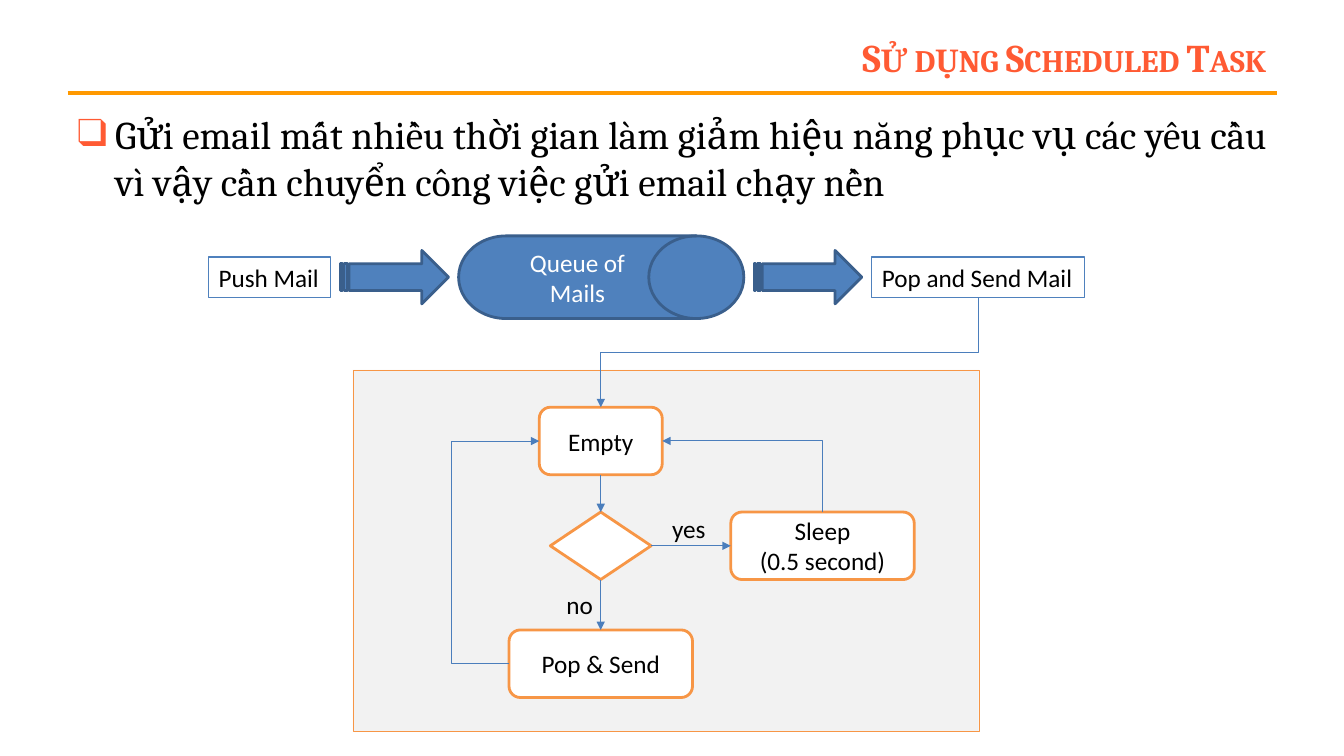
import pptx
import pptx.util
import pptx.dml.color
import pptx.enum.shapes
import pptx.enum.text
import pptx.oxml
import pptx.oxml.ns

Pt = pptx.util.Pt
SHAPE = pptx.enum.shapes.MSO_SHAPE
CONNECTOR = pptx.enum.shapes.MSO_CONNECTOR
ALIGN = pptx.enum.text.PP_ALIGN
ANCHOR = pptx.enum.text.MSO_ANCHOR
AUTO = pptx.enum.text.MSO_AUTO_SIZE

TITLE = "Sử dụng Scheduled Task"
BODY = ("Gửi email mất nhiều thời gian làm giảm hiệu năng phục vụ các yêu cầu "
        "vì vậy cần chuyển công việc gửi email chạy nền")
BLUE, DARK_BLUE, ORANGE, ACCENT = "4F81BD", "3A5F8C", "F79646", "FF5A33"

PIPELINE = [
    ("push", "Push Mail", 87.12, 28.8),
    ("arrow", "", 77.04, 38.16),
    ("queue", "Queue of\vMails", 203.76, 59.04),
    ("arrow", "", 77.04, 38.16),
    ("pop", "Pop and Send Mail", 151.92, 28.8),
]
PIPELINE_LEFT, PIPELINE_MIDDLE, PIPELINE_GAP = 149.04, 198, 7.2
PIPELINE_SHAPES = {"arrow": SHAPE.STRIPED_RIGHT_ARROW,
                   "queue": SHAPE.FLOWCHART_DIRECT_ACCESS_STORAGE}

LOOP_X, SLEEP_X = 429.12, 587.52
EMPTY_Y, CHECK_Y, SEND_Y = 315, 389.88, 474.12
STEP_HEIGHT = 48.24
STEPS = {
    "empty": (SHAPE.ROUNDED_RECTANGLE, "Empty", LOOP_X, EMPTY_Y, 87.84),
    "check": (SHAPE.FLOWCHART_DECISION, "", LOOP_X, CHECK_Y, 72),
    "send": (SHAPE.ROUNDED_RECTANGLE, "Pop & Send", LOOP_X, SEND_Y, 131.04),
    "sleep": (SHAPE.ROUNDED_RECTANGLE, "Sleep\n(0.5 second)", SLEEP_X, CHECK_Y, 131.04),
}
STRAIGHT = [("empty", 2, "check", 0), ("check", 3, "sleep", 1), ("check", 2, "send", 0)]
ELBOWS = [
    ("send", 1, "empty", 1, "bentConnector3", 180, "flipH", -191200),
    ("sleep", 0, "empty", 3, "bentConnector2", 270, "flipV", None),
    ("pop", 2, "empty", 0, "bentConnector3", 90, None, 50000),
]
ANSWERS = [("yes", 473.04, 362.88, 38.88), ("no", 397.44, 417.6, 33.84)]

deck = pptx.Presentation()
deck.slide_width, deck.slide_height = Pt(960), Pt(540)
slide = deck.slides.add_slide(deck.slide_layouts[6])


def color(value):
    return pptx.dml.color.RGBColor.from_string(value)


def write(shape, text, ink="000000", align=ALIGN.LEFT, **font):
    shape.text_frame.text = text
    for paragraph in shape.text_frame.paragraphs:
        paragraph.alignment = align
        style = {"name": "Calibri", "size": Pt(18), **font}
        for run in paragraph.runs:
            for key, value in style.items():
                setattr(run.font, key, value)
            run.font.color.rgb = color(ink)


def outline(shape, ink, width):
    shape.line.color.rgb = color(ink)
    shape.line.width = Pt(width)


def block(kind, box, fill, ink, width):
    shape = slide.shapes.add_shape(kind, *map(Pt, box))
    shape.shadow.inherit = False
    shape.fill.solid()
    shape.fill.fore_color.rgb = color(fill)
    outline(shape, ink, width)
    shape.text_frame.vertical_anchor = ANCHOR.MIDDLE
    return shape


def text_box(box, **frame):
    shape = slide.shapes.add_textbox(*map(Pt, box))
    for key, value in {"word_wrap": True, **frame}.items():
        setattr(shape.text_frame, key, value)
    return shape


def label(text, box):
    shape = text_box(box, word_wrap=False, auto_size=AUTO.SHAPE_TO_FIT_TEXT)
    write(shape, text)
    return shape


def connect(kind, start, end, ink, width, arrow=True):
    line = slide.shapes.add_connector(kind, *start, *end)
    outline(line, ink, width)
    properties = line._element.spPr
    pptx.oxml.ns.qn("a:ln")
    if arrow:
        tail = properties.find(pptx.oxml.ns.qn("a:ln")).makeelement(
            pptx.oxml.ns.qn("a:tailEnd"), {"type": "triangle"})
        properties.find(pptx.oxml.ns.qn("a:ln")).append(tail)
    properties.append(properties.makeelement(pptx.oxml.ns.qn("a:effectLst"), {}))
    return line


def site(shape, side):
    x = shape.left + (shape.width // 2, 0, shape.width // 2, shape.width)[side]
    y = shape.top + (0, shape.height // 2, shape.height, shape.height // 2)[side]
    return x, y


def elbow(start, end, preset, turn, flip, bend):
    line = connect(CONNECTOR.ELBOW, start, end, "4B7EBC", 0.75)
    width, height = abs(end[0] - start[0]), abs(end[1] - start[1])
    if turn in (90, 270):
        width, height = height, width
    line.left = (start[0] + end[0] - width) // 2
    line.top = (start[1] + end[1] - height) // 2
    line.width, line.height = width, height
    frame = line._element.spPr.find(pptx.oxml.ns.qn("a:xfrm"))
    for key in ("flipH", "flipV"):
        frame.attrib.pop(key, None)
    frame.set("rot", str(turn * 60000))
    if flip:
        frame.set(flip, "1")
    geometry = line._element.spPr.find(pptx.oxml.ns.qn("a:prstGeom"))
    geometry.set("prst", preset)
    if bend is not None:
        guides = geometry.find(pptx.oxml.ns.qn("a:avLst"))
        guides.append(guides.makeelement(
            pptx.oxml.ns.qn("a:gd"), {"name": "adj1", "fmla": f"val {bend}"}))


connect(CONNECTOR.STRAIGHT, (Pt(48.24), Pt(66.24)), (Pt(912.24), Pt(66.24)),
        "FF9900", 3, arrow=False)
block(SHAPE.RECTANGLE, (252, 264.24, 447.12, 257.76), "F2F2F2", ORANGE, 0.25)

title = text_box((175.68, 21.6, 735.84, 38.16), vertical_anchor=ANCHOR.MIDDLE)
write(title, TITLE, ACCENT, ALIGN.RIGHT, name="Cambria", size=Pt(28), bold=True)
title.text_frame.paragraphs[0].runs[0].font._element.set("cap", "small")

body = text_box((48.24, 74.88, 864, 87.84))
write(body, BODY, name="Cambria", size=Pt(28))
bullet = body.text_frame.paragraphs[0]._p.get_or_add_pPr()
bullet.set("marL", str(Pt(27)))
bullet.set("indent", str(-Pt(27)))
namespace = pptx.oxml.ns.nsdecls("a")
for element in (f'<a:buClr {namespace}><a:srgbClr val="{ACCENT}"/></a:buClr>',
                f'<a:buFont {namespace} typeface="Cambria"/>',
                f'<a:buChar {namespace} char="❑"/>'):
    bullet.append(pptx.oxml.parse_xml(element))

parts = {}
left = PIPELINE_LEFT
for name, text, width, height in PIPELINE:
    box = (left, PIPELINE_MIDDLE - height / 2, width, height)
    if name in PIPELINE_SHAPES:
        parts[name] = block(PIPELINE_SHAPES[name], box, BLUE, DARK_BLUE, 2)
        if text:
            write(parts[name], text, "FFFFFF", ALIGN.CENTER)
    else:
        parts[name] = label(text, box)
        outline(parts[name], BLUE, 0.75)
    left += width + PIPELINE_GAP

for name, (kind, text, x, y, width) in STEPS.items():
    box = (x - width / 2, y - STEP_HEIGHT / 2, width, STEP_HEIGHT)
    parts[name] = block(kind, box, "FFFFFF", ORANGE, 2)
    if text:
        write(parts[name], text, align=ALIGN.CENTER)

for source, out_side, target, in_side in STRAIGHT:
    line = connect(CONNECTOR.STRAIGHT, site(parts[source], out_side),
                   site(parts[target], in_side), "4B7EBC", 0.75)
    line.begin_connect(parts[source], out_side)
    line.end_connect(parts[target], in_side)

for source, out_side, target, in_side, *route in ELBOWS:
    elbow(site(parts[source], out_side), site(parts[target], in_side), *route)

for text, x, y, width in ANSWERS:
    label(text, (x, y, width, 28.8))

deck.save("out.pptx")
